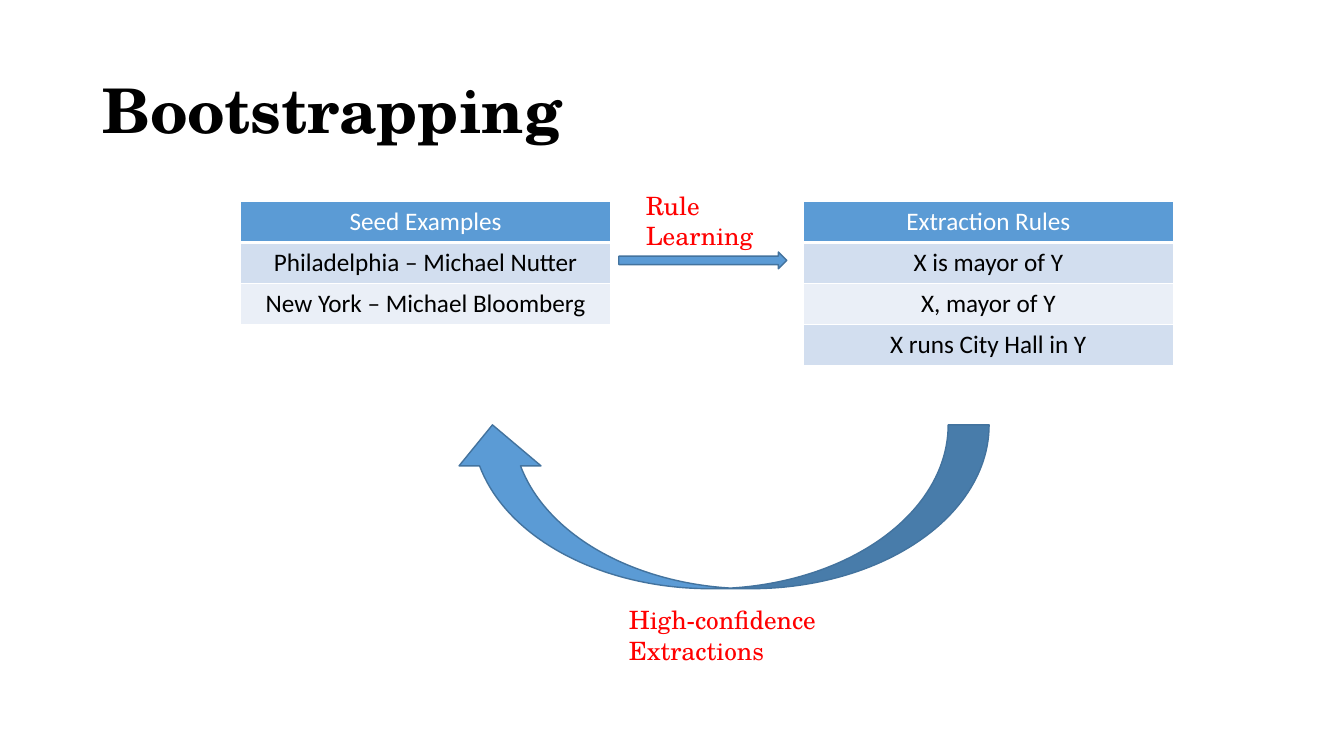
"""Build the Bootstrapping slide with its seed and rule tables and arrows."""
from dataclasses import dataclass

import pptx
import pptx.dml.color
import pptx.enum.shapes
import pptx.enum.text
import pptx.oxml
import pptx.oxml.ns
import pptx.slide
import pptx.util

Pt = pptx.util.Pt
RGBColor = pptx.dml.color.RGBColor
ShapeType = pptx.enum.shapes.MSO_SHAPE
Anchor = pptx.enum.text.MSO_ANCHOR

BLACK = RGBColor(0x00, 0x00, 0x00)
WHITE = RGBColor(0xFF, 0xFF, 0xFF)
RED = RGBColor(0xFF, 0x00, 0x00)
BLUE = RGBColor(0x5B, 0x9B, 0xD5)
DARK_BLUE = RGBColor(0x43, 0x73, 0x9E)
BANDS = (RGBColor(0xD2, 0xDE, 0xEF), RGBColor(0xEA, 0xEF, 0xF7))

SERIF = "TeX Gyre Schola"
SANS = "Calibri"
TABLE_TOP = 144
TABLE_WIDTH = 264
ROW_HEIGHT = 29.2


@dataclass(frozen=True)
class Box:
    left: float
    top: float
    width: float
    height: float

    def lengths(self) -> tuple[pptx.util.Length, ...]:
        return Pt(self.left), Pt(self.top), Pt(self.width), Pt(self.height)


@dataclass(frozen=True)
class Label:
    box: Box
    lines: tuple[str, ...]
    size: float = 18
    color: RGBColor = RED
    bold: bool = False
    anchor: Anchor = Anchor.TOP
    line_spacing: float = 1.0


@dataclass(frozen=True)
class RuleTable:
    left: float
    rows: tuple[str, ...]


@dataclass(frozen=True)
class Arrow:
    box: Box
    kind: ShapeType
    rotation: float = 0


LABELS = (
    Label(Box(66, 28.8, 828, 104.4), ("Bootstrapping",), 44, BLACK, True, Anchor.MIDDLE, 0.9),
    Label(Box(454.3, 132.5, 102.2, 51), ("Rule Learning",)),
    Label(Box(442.1, 428.4, 198, 51), ("High-confidence", "Extractions")),
)
TABLES = (
    RuleTable(172, (
        "Seed Examples",
        "Philadelphia – Michael Nutter",
        "New York – Michael Bloomberg",
    )),
    RuleTable(574, (
        "Extraction Rules",
        "X is mayor of Y",
        "X, mayor of Y",
        "X runs City Hall in Y",
    )),
)
ARROWS = (
    Arrow(Box(442, 180, 120, 12), ShapeType.RIGHT_ARROW),
    Arrow(Box(456, 170, 117, 384), ShapeType.CURVED_LEFT_ARROW, 90),
)


def add_label(slide: pptx.slide.Slide, label: Label) -> None:
    frame = slide.shapes.add_textbox(*label.box.lengths()).text_frame
    frame.word_wrap = True
    frame.vertical_anchor = label.anchor
    frame.text = "\n".join(label.lines)
    for paragraph in frame.paragraphs:
        paragraph.line_spacing = label.line_spacing
        paragraph.font.name = SERIF
        paragraph.font.size = Pt(label.size)
        paragraph.font.bold = label.bold
        paragraph.font.color.rgb = label.color


def set_borders(cell: pptx.table._Cell, bottom_width: float) -> None:
    properties = cell._tc.get_or_add_tcPr()
    for index, side in enumerate("LRTB"):
        width = Pt(bottom_width if side == "B" else 1)
        border = pptx.oxml.parse_xml(
            f'<a:ln{side} {pptx.oxml.ns.nsdecls("a")} w="{width}">'
            f'<a:solidFill><a:srgbClr val="{WHITE}"/></a:solidFill></a:ln{side}>'
        )
        properties.insert(index, border)


def add_rule_table(slide: pptx.slide.Slide, rule_table: RuleTable) -> None:
    count = len(rule_table.rows)
    box = Box(rule_table.left, TABLE_TOP, TABLE_WIDTH, ROW_HEIGHT * count)
    table = slide.shapes.add_table(count, 1, *box.lengths()).table
    for index, text in enumerate(rule_table.rows):
        is_header = index == 0
        table.rows[index].height = Pt(ROW_HEIGHT)
        cell = table.cell(index, 0)
        cell.text = text
        cell.fill.solid()
        cell.fill.fore_color.rgb = BLUE if is_header else BANDS[(index - 1) % 2]
        set_borders(cell, 3 if is_header else 1)
        paragraph = cell.text_frame.paragraphs[0]
        paragraph.alignment = pptx.enum.text.PP_ALIGN.CENTER
        paragraph.font.name = SANS
        paragraph.font.size = Pt(18)
        paragraph.font.bold = False
        paragraph.font.color.rgb = WHITE if is_header else BLACK


def add_arrow(slide: pptx.slide.Slide, arrow: Arrow) -> None:
    shape = slide.shapes.add_shape(arrow.kind, *arrow.box.lengths())
    shape.rotation = arrow.rotation
    shape.shadow.inherit = False
    shape.fill.solid()
    shape.fill.fore_color.rgb = BLUE
    shape.line.color.rgb = DARK_BLUE
    shape.line.width = Pt(1)


def main() -> None:
    presentation = pptx.Presentation()
    presentation.slide_width = Pt(960)
    presentation.slide_height = Pt(540)
    slide = presentation.slides.add_slide(presentation.slide_layouts[6])
    for rule_table in TABLES:
        add_rule_table(slide, rule_table)
    for arrow in ARROWS:
        add_arrow(slide, arrow)
    for label in LABELS:
        add_label(slide, label)
    presentation.save("out.pptx")


if __name__ == "__main__":
    main()
